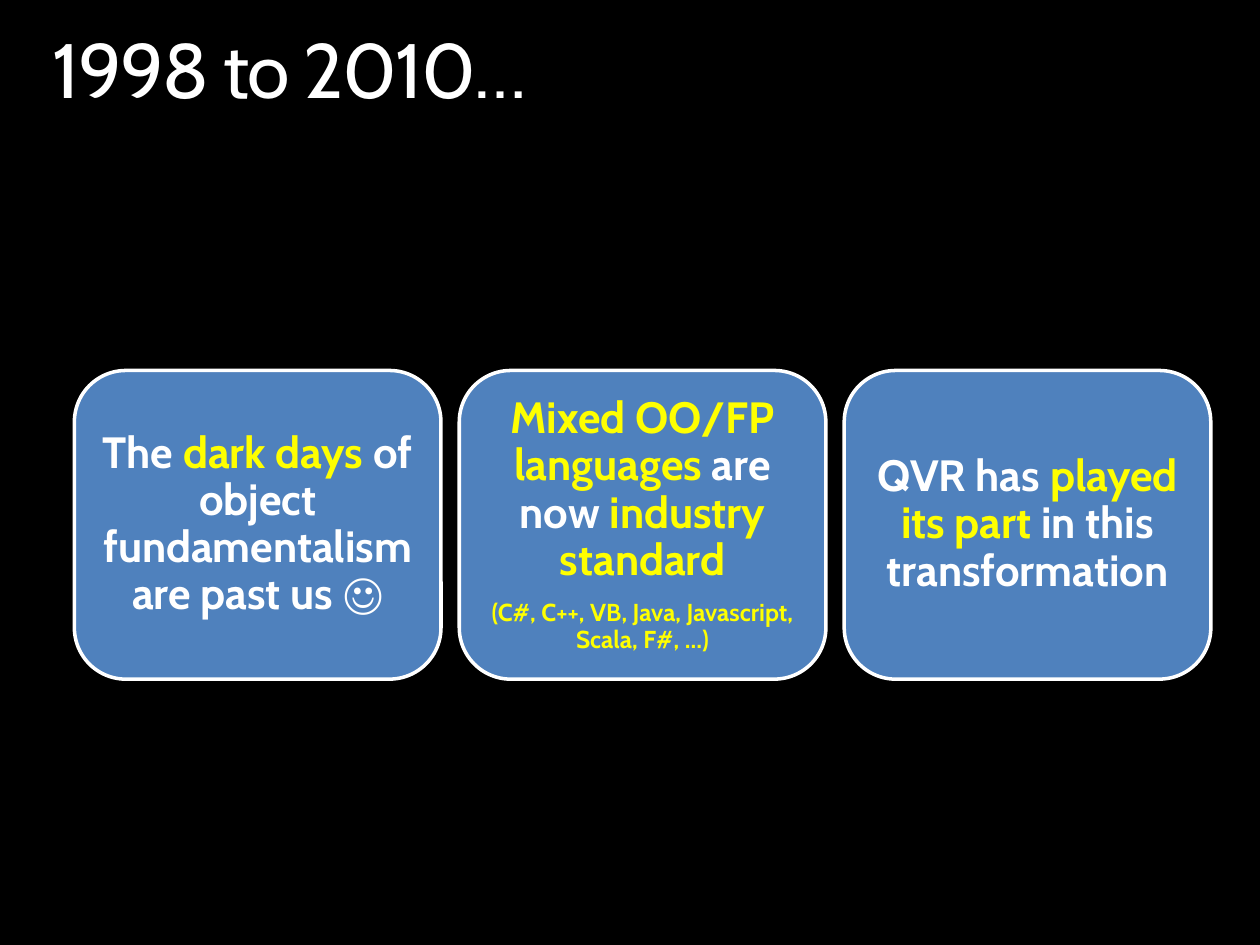
"""Build the "1998 to 2010" slide: a title above three statement cards."""
import pptx
import pptx.dml.color
import pptx.enum.shapes
import pptx.enum.text
import pptx.util

Inches, Pt = pptx.util.Inches, pptx.util.Pt
RGBColor = pptx.dml.color.RGBColor
PP_ALIGN = pptx.enum.text.PP_ALIGN
MSO_ANCHOR = pptx.enum.text.MSO_ANCHOR

BLACK = RGBColor(0x00, 0x00, 0x00)
WHITE = RGBColor(0xFF, 0xFF, 0xFF)
YELLOW = RGBColor(0xFF, 0xFF, 0x00)
BLUE = RGBColor(0x4F, 0x81, 0xBD)
FONT = "Cabin"

CARD_LEFT, CARD_TOP, CARD_WIDTH, CARD_HEIGHT = 0.59, 2.94, 2.91, 2.45
CARD_PITCH = 3.055

STATEMENTS = [
    [(25, [("The ", WHITE), ("dark days ", YELLOW),
           ("of object fundamentalism are past us ☺", WHITE)])],
    [(25, [("Mixed OO/FP languages ", YELLOW), ("are now ", WHITE),
           ("industry standard", YELLOW)]),
     (14, [("(C#, C++, VB, Java, Javascript, Scala, F#, …)", YELLOW)])],
    [(25, [("QVR has ", WHITE), ("played its part ", YELLOW),
           ("in this transformation", WHITE)])],
]


def add_run(paragraph, wording, size, color, bold=False):
    run = paragraph.add_run()
    run.text = wording
    run.font.name = FONT
    run.font.size = Pt(size)
    run.font.bold = bold
    run.font.color.rgb = color
    return run


def set_margins(frame, margin):
    frame.margin_left = frame.margin_right = Inches(margin)
    frame.margin_top = frame.margin_bottom = Inches(margin)


def fill_title(title, wording):
    title.left, title.top = Inches(0.42), Inches(0.25)
    title.width, title.height = Inches(9.17), Inches(0.67)
    frame = title.text_frame
    set_margins(frame, 0)
    frame.vertical_anchor = MSO_ANCHOR.TOP
    frame.auto_size = pptx.enum.text.MSO_AUTO_SIZE.SHAPE_TO_FIT_TEXT
    heading = frame.paragraphs[0]
    heading.alignment = PP_ALIGN.LEFT
    heading.line_spacing = 0.9
    run = add_run(heading, wording, 44, WHITE)
    run.font._element.set("spc", "-100")


def add_card(slide, left, statement):
    card = slide.shapes.add_shape(
        pptx.enum.shapes.MSO_SHAPE.ROUNDED_RECTANGLE,
        Inches(left), Inches(CARD_TOP), Inches(CARD_WIDTH), Inches(CARD_HEIGHT))
    card.shadow.inherit = False
    card.fill.solid()
    card.fill.fore_color.rgb = BLUE
    card.line.color.rgb = WHITE
    card.line.width = Pt(2)
    frame = card.text_frame
    frame.word_wrap = True
    frame.vertical_anchor = MSO_ANCHOR.MIDDLE
    set_margins(frame, 0.1)
    for index, (size, phrases) in enumerate(statement):
        paragraph = frame.add_paragraph() if index else frame.paragraphs[0]
        paragraph.alignment = PP_ALIGN.CENTER
        paragraph.line_spacing = 0.9
        if index:
            paragraph.space_before = Pt(9)
        for wording, color in phrases:
            add_run(paragraph, wording, size, color, bold=True)


def main():
    deck = pptx.Presentation()
    deck.slide_width, deck.slide_height = Inches(10), Inches(7.5)
    slide = deck.slides.add_slide(deck.slide_layouts[5])
    slide.background.fill.solid()
    slide.background.fill.fore_color.rgb = BLACK
    fill_title(slide.shapes.title, "1998 to 2010…")
    for column, statement in enumerate(STATEMENTS):
        add_card(slide, CARD_LEFT + column * CARD_PITCH, statement)
    deck.save("out.pptx")


if __name__ == "__main__":
    main()
